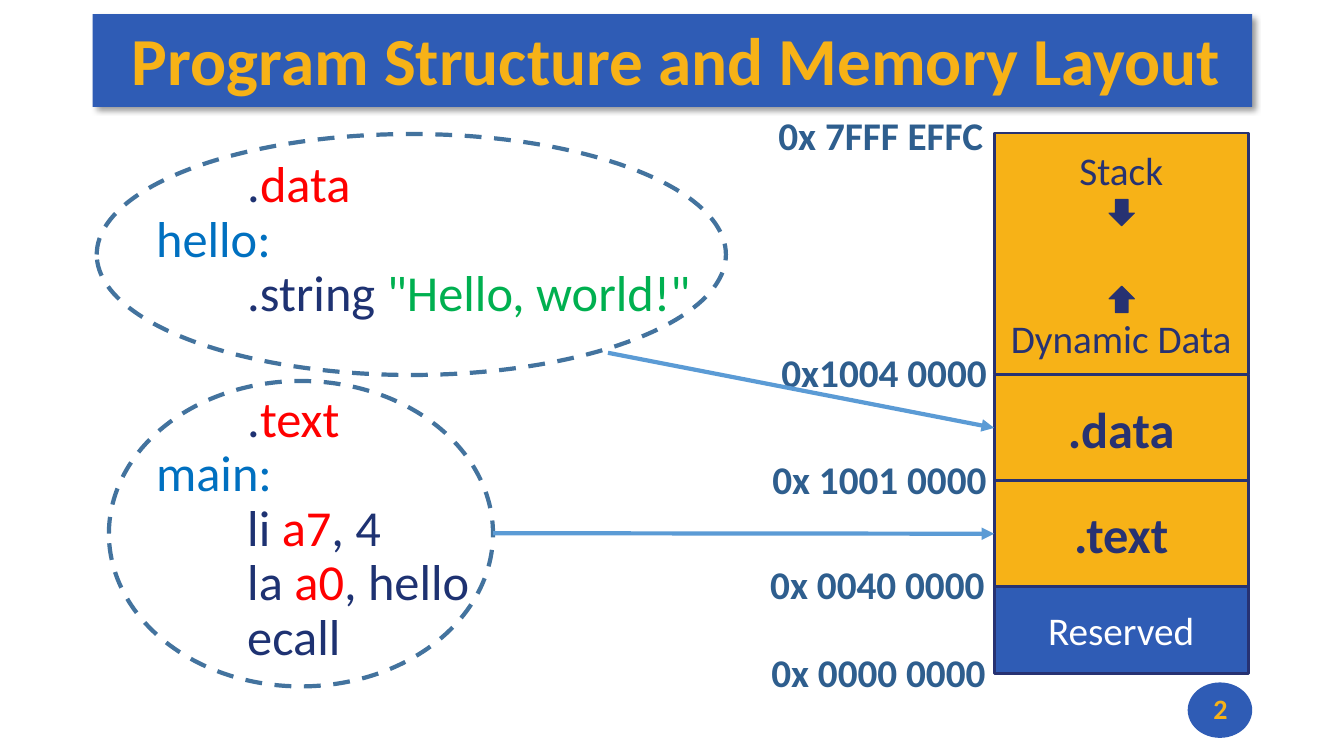
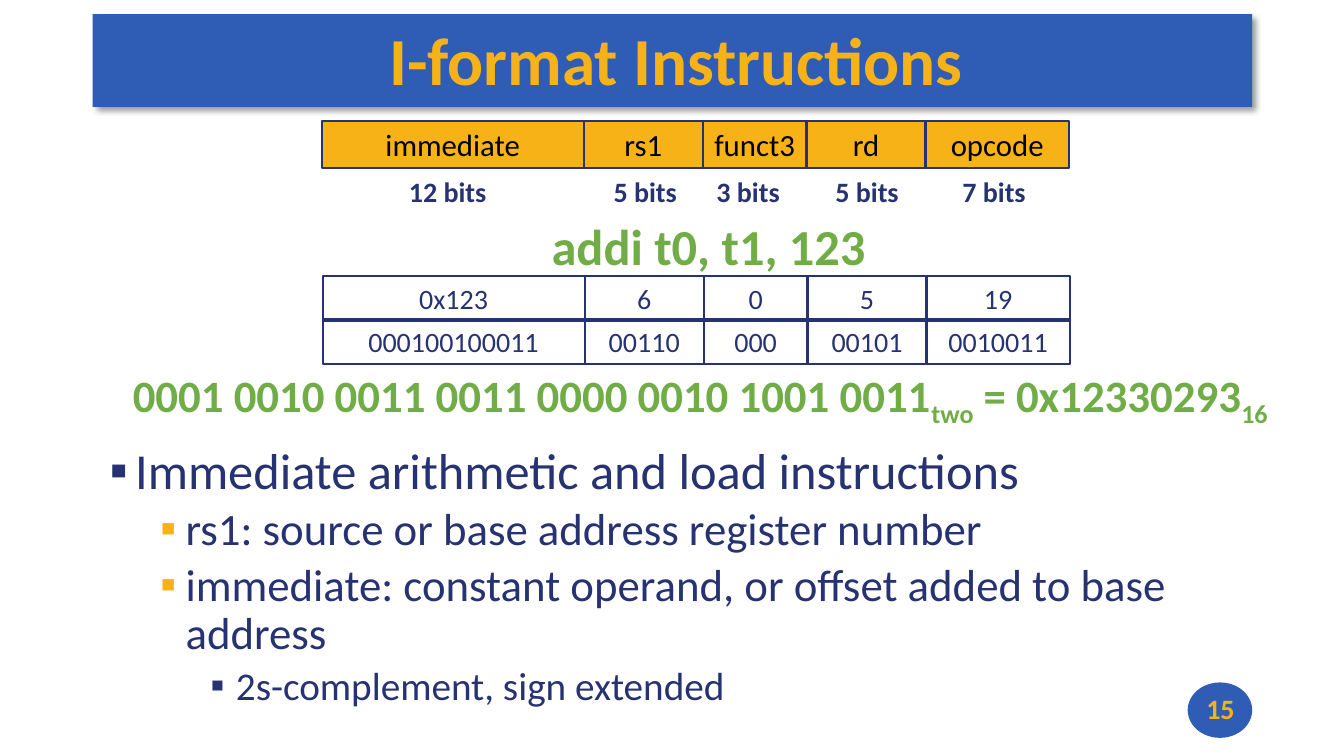
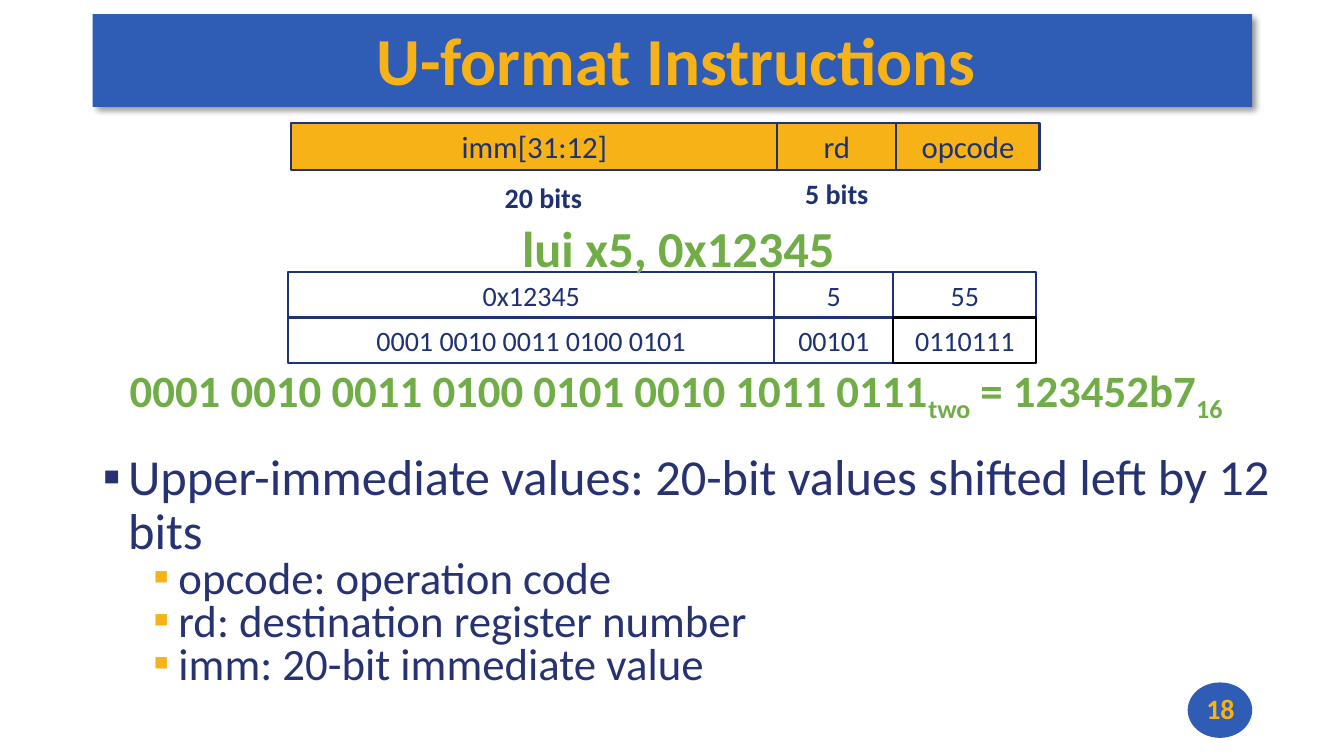
from lxml import etree
from pptx import Presentation
from pptx.dml.color import RGBColor
from pptx.enum.dml import MSO_LINE
from pptx.enum.shapes import MSO_CONNECTOR, MSO_SHAPE
from pptx.enum.text import MSO_ANCHOR, MSO_AUTO_SIZE, PP_ALIGN
from pptx.oxml.ns import qn
from pptx.util import Inches, Pt


class Theme:
    font = "Calibri"
    blue = RGBColor.from_string("2F5CB5")
    gold = RGBColor.from_string("F7B217")
    navy = RGBColor.from_string("273272")
    ink = RGBColor.from_string("1E3272")
    steel = RGBColor.from_string("2E5E8E")
    ring = RGBColor.from_string("43739E")
    arrow = RGBColor.from_string("5B9BD5")
    red = RGBColor.from_string("FF0000")
    sky = RGBColor.from_string("0070C0")
    green = RGBColor.from_string("00B050")
    lime = RGBColor.from_string("70AD47")
    black = RGBColor.from_string("000000")
    white = RGBColor.from_string("FFFFFF")
    title, code, sub, note, head, small = 48, 36, 32, 28, 22, 20


def put(slide, kind, at, fill=None, line=None, width=1.5):
    place = [Inches(n) for n in at]
    if kind is None:
        return slide.shapes.add_textbox(*place)
    shape = slide.shapes.add_shape(kind, *place)
    shape.shadow.inherit = False
    if fill is None:
        shape.fill.background()
    else:
        shape.fill.solid()
        shape.fill.fore_color.rgb = fill
    if line is None:
        shape.line.fill.background()
    else:
        shape.line.color.rgb = line
        shape.line.width = Pt(width)
    return shape


def write(shape, text, size, color, bold=False, align=PP_ALIGN.CENTER, pads=(0, 0, 0, 0)):
    frame = shape.text_frame
    frame.word_wrap = True
    frame.auto_size = MSO_AUTO_SIZE.NONE
    frame.vertical_anchor = MSO_ANCHOR.MIDDLE
    left, top, right, base = [Inches(n) for n in pads]
    frame.margin_left, frame.margin_top = left, top
    frame.margin_right, frame.margin_bottom = right, base
    frame.text = text
    for para in frame.paragraphs:
        para.alignment = align
        para.font.name = Theme.font
        para.font.size = Pt(size)
        para.font.bold = bold
        para.font.color.rgb = color
    return frame


deck = Presentation()
deck.slide_width, deck.slide_height = Inches(13.33), Inches(7.5)
rect, oval = MSO_SHAPE.RECTANGLE, MSO_SHAPE.OVAL
inset = (0.08, 0.03, 0, 0.03)

pages = []
for layout, title, number in [
    (5, "Program Structure and Memory Layout", "2"),
    (1, "I-format Instructions", "15"),
    (1, "U-format Instructions", "18"),
]:
    page = deck.slides.add_slide(deck.slide_layouts[layout])
    name = page.shapes.title
    name.left, name.top = Inches(0.92), Inches(0.12)
    name.width, name.height = Inches(11.5), Inches(0.92)
    write(name, title, Theme.title, Theme.gold, True, pads=inset)
    write(put(page, None, (11.78, 6.77, 0.65, 0.52)), number, Theme.small, Theme.gold, True)
    pages.append(page)
memory, iform, uform = pages

band = put(memory, rect, (0.92, 0.14, 11.5, 0.92), Theme.blue)
glow = etree.SubElement(
    band.element.spPr.find(qn("a:effectLst")), qn("a:outerShdw"),
    blurRad=str(Pt(4)), dist=str(Pt(3)), dir="2700000", algn="tl", rotWithShape="0",
)
tint = etree.SubElement(glow, qn("a:srgbClr"), val=str(Theme.black))
etree.SubElement(tint, qn("a:alpha"), val="40000")
badge = put(memory, oval, (11.78, 6.77, 0.64, 0.55), Theme.blue)
for order, part in enumerate([band, badge]):
    part.element.nvSpPr.cNvPr.set("id", str(20 + order))
    deck.slide_master.shapes.element.insert(2 + order, part.element)

blocks = {}
for text, top, high, fill, size, color, bold in [
    ("Stack\nDynamic Data", 1.32, 2.4, Theme.gold, Theme.note, Theme.navy, False),
    (".data", 3.72, 1.05, Theme.gold, Theme.code, Theme.navy, True),
    (".text", 4.77, 1.05, Theme.gold, Theme.code, Theme.navy, True),
    ("Reserved", 5.82, 0.86, Theme.blue, Theme.note, Theme.white, False),
]:
    block = put(memory, rect, (9.86, top, 2.52, high), fill, Theme.navy, 2)
    frame = write(block, text, size, color, bold)
    for para in frame.paragraphs[1:]:
        para.space_before = Pt(86)
    blocks[text] = block

for kind, top in [(MSO_SHAPE.DOWN_ARROW, 1.98), (MSO_SHAPE.UP_ARROW, 2.84)]:
    put(memory, kind, (11, top, 0.25, 0.26), Theme.navy, Theme.navy, 0.85)

for text, left, top in [
    ("0x 7FFF EFFC", 7.64, 1.03),
    ("0x1004 0000", 7.67, 3.38),
    ("0x 1001 0000", 7.58, 4.45),
    ("0x 0040 0000", 7.56, 5.49),
    ("0x 0000 0000", 7.57, 6.36),
]:
    label = put(memory, None, (left, top, 2.5, 0.61))
    write(label, text, Theme.note, Theme.steel, True, PP_ALIGN.LEFT, inset)

code = put(memory, None, (1.45, 1.53, 5.57, 5.18))
frame = write(code, "\n" * 7, Theme.code, Theme.ink, False, PP_ALIGN.LEFT, (0.1, 0.05, 0.1, 0.05))
frame.vertical_anchor = MSO_ANCHOR.TOP
lines = [
    [("        .", Theme.ink), ("data", Theme.red)],
    [("hello:", Theme.sky)],
    [("        .string ", Theme.ink), ('"Hello, world!"', Theme.green)],
    [("        .", Theme.ink), ("text", Theme.red)],
    [("main:", Theme.sky)],
    [("        li ", Theme.ink), ("a7", Theme.red), (", 4", Theme.ink)],
    [("        la ", Theme.ink), ("a0", Theme.red), (", hello", Theme.ink)],
    [("        ecall", Theme.ink)],
]
for para, parts in zip(frame.paragraphs, lines):
    para.line_spacing = 0.9
    for text, color in parts:
        run = para.add_run()
        run.text = text
        run.font.color.rgb = color
frame.paragraphs[3].space_before = Pt(51)

for at in [(1.08, 3.78, 3.81, 3.03), (0.96, 1.33, 6.24, 2.39)]:
    ring = put(memory, oval, at, None, Theme.ring, 3)
    ring.line.dash_style = MSO_LINE.DASH

for left, top, goal in [(4.89, 5.29, ".text"), (6.03, 3.5, ".data")]:
    start = Inches(left), Inches(top)
    link = memory.shapes.add_connector(MSO_CONNECTOR.STRAIGHT, *start, *start)
    link.end_connect(blocks[goal], 1)
    link.line.color.rgb = Theme.arrow
    link.line.width = Pt(3)
    etree.SubElement(link.line._get_or_add_ln(), qn("a:tailEnd"), type="triangle")
    etree.SubElement(link.element.spPr, qn("a:effectLst"))

iwide, uwide = (2.6, 1.18, 1.03, 1.18, 1.42), (4.82, 1.18, 1.42)
for page, left, top, high, wide, texts, fill, edge, size, color in [
    (iform, 3.19, 1.2, 0.47, iwide, ("immediate", "rs1", "funct3", "rd", "opcode"),
     Theme.gold, Theme.navy, Theme.head, Theme.black),
    (iform, 3.2, 2.74, 0.44, iwide, ("0x123", "6", "0", "5", "19"),
     None, Theme.navy, Theme.small, Theme.navy),
    (iform, 3.2, 3.17, 0.44, iwide, ("000100100011", "00110", "000", "00101", "0010011"),
     None, Theme.navy, Theme.small, Theme.navy),
    (uform, 2.89, 1.22, 0.47, uwide, ("imm[31:12]", "rd", "opcode"),
     Theme.gold, Theme.ink, Theme.head, Theme.ink),
    (uform, 2.86, 2.7, 0.45, uwide, ("0x12345", "5", "55"),
     None, Theme.ink, Theme.small, Theme.ink),
    (uform, 2.86, 3.15, 0.45, uwide, ("0001 0010 0011 0100 0101", "00101", "0110111"),
     None, Theme.ink, Theme.small, Theme.ink),
]:
    for text, width in zip(texts, wide):
        cell = put(page, rect, (left, top, width, high), fill, edge)
        write(cell, text, size, color)
        left += width
cell.line.color.rgb = Theme.black

for page, text, mid, top, color in [
    (iform, "12 bits", 4.44, 1.68, Theme.navy),
    (iform, "5 bits", 6.4, 1.68, Theme.navy),
    (iform, "3 bits", 7.42, 1.68, Theme.navy),
    (iform, "5 bits", 8.6, 1.68, Theme.navy),
    (iform, "7 bits", 9.86, 1.68, Theme.navy),
    (uform, "20 bits", 5.39, 1.74, Theme.ink),
    (uform, "5 bits", 8.3, 1.7, Theme.ink),
]:
    write(put(page, None, (mid - 0.5, top, 1, 0.44)), text, Theme.small, color, True)

for page, text, at in [
    (iform, "addi t0, t1, 123", (4.03, 2.08, 6, 0.71)),
    (uform, "lui x5, 0x12345", (3.73, 2.1, 6, 0.71)),
]:
    write(put(page, None, at), text, Theme.code, Theme.lime, True)

for page, parts, at in [
    (iform, ("0001 0010 0011 0011 0000 0010 1001 0011", "two", " = 0x12330293", "16"),
     (1.08, 3.63, 11.73, 0.64)),
    (uform, ("0001 0010 0011 0100 0101 0010 1011 0111", "two", " = 123452b7", "16"),
     (0.97, 3.58, 11.47, 0.64)),
]:
    word = put(page, None, at)
    para = write(word, "", Theme.sub, Theme.lime, True).paragraphs[0]
    for text in parts:
        para.add_run().text = text
    for run in list(word.element.iter(qn("a:r")))[1::2]:
        run.get_or_add_rPr().set("baseline", "-25000")

sizes = (Theme.code, Theme.sub, Theme.note)
for page, at, gap, tight, items in [
    (iform, (0.99, 4.37, 11.5, 3.04), 5, 0.9, [
        (0, "Immediate arithmetic and load instructions"),
        (1, "rs1: source or base address register number"),
        (1, "immediate: constant operand, or offset added to base address"),
        (2, "2s-complement, sign extended"),
    ]),
    (uform, (0.92, 4.43, 11.88, 2.64), 0, 0.8, [
        (0, "Upper-immediate values: 20-bit values shifted left by 12 bits"),
        (1, "opcode: operation code"),
        (1, "rd: destination register number"),
        (1, "imm: 20-bit immediate value"),
    ]),
]:
    body = page.placeholders[1]
    body.left, body.top, body.width, body.height = [Inches(n) for n in at]
    frame = body.text_frame
    frame.auto_size = MSO_AUTO_SIZE.NONE
    frame.text = "\n".join(text for level, text in items)
    for para, (level, text) in zip(frame.paragraphs, items):
        para.level = level
        para.line_spacing = tight if level else 0.9
        para.space_before = Pt(gap if level else 0)
        props = para._p.get_or_add_pPr()
        props.set("marL", str(Inches(0.25 + level * 0.5)))
        props.set("indent", str(Inches(-0.25)))
        tint = etree.SubElement(props, qn("a:buClr"))
        shade = Theme.gold if level == 1 else Theme.navy
        etree.SubElement(tint, qn("a:srgbClr"), val=str(shade))
        etree.SubElement(props, qn("a:buFont"), typeface=Theme.font)
        etree.SubElement(props, qn("a:buChar"), char="▪")
        para.font.name = Theme.font
        para.font.size = Pt(sizes[level])
        para.font.color.rgb = Theme.navy

deck.save("out.pptx")
